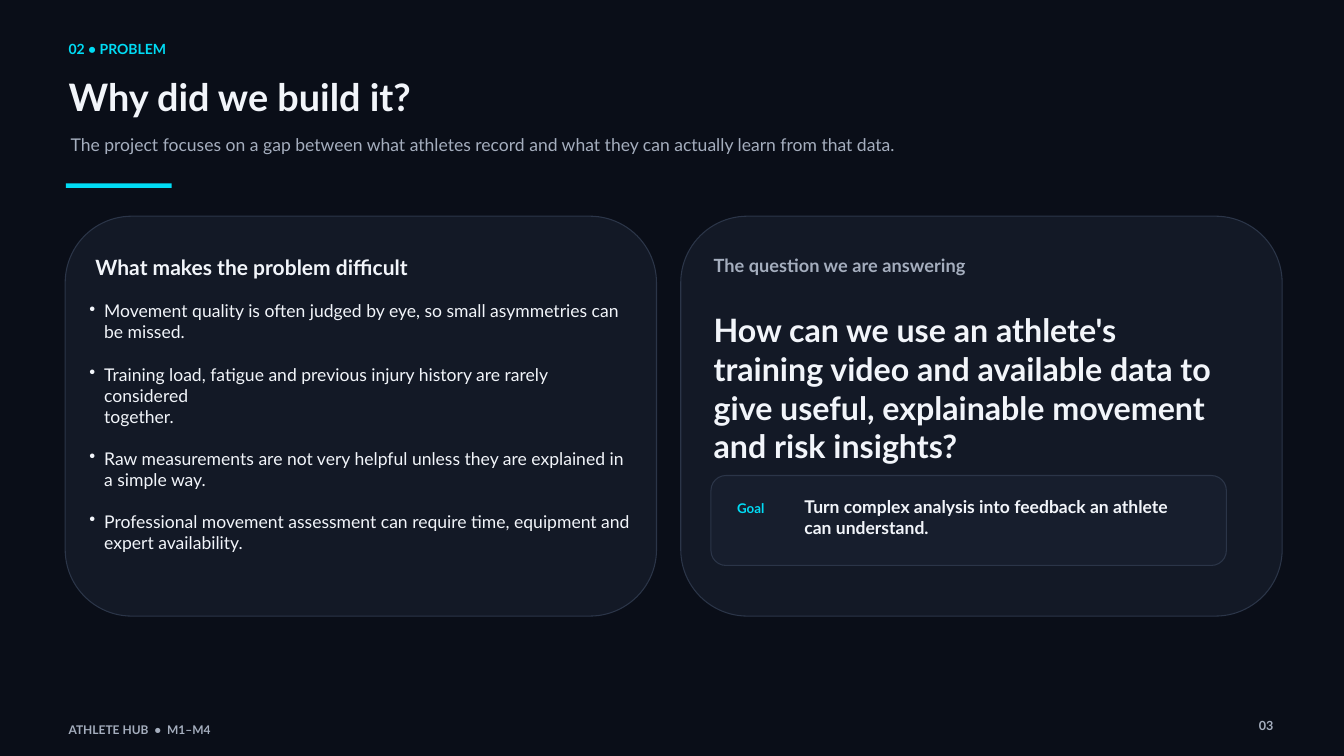
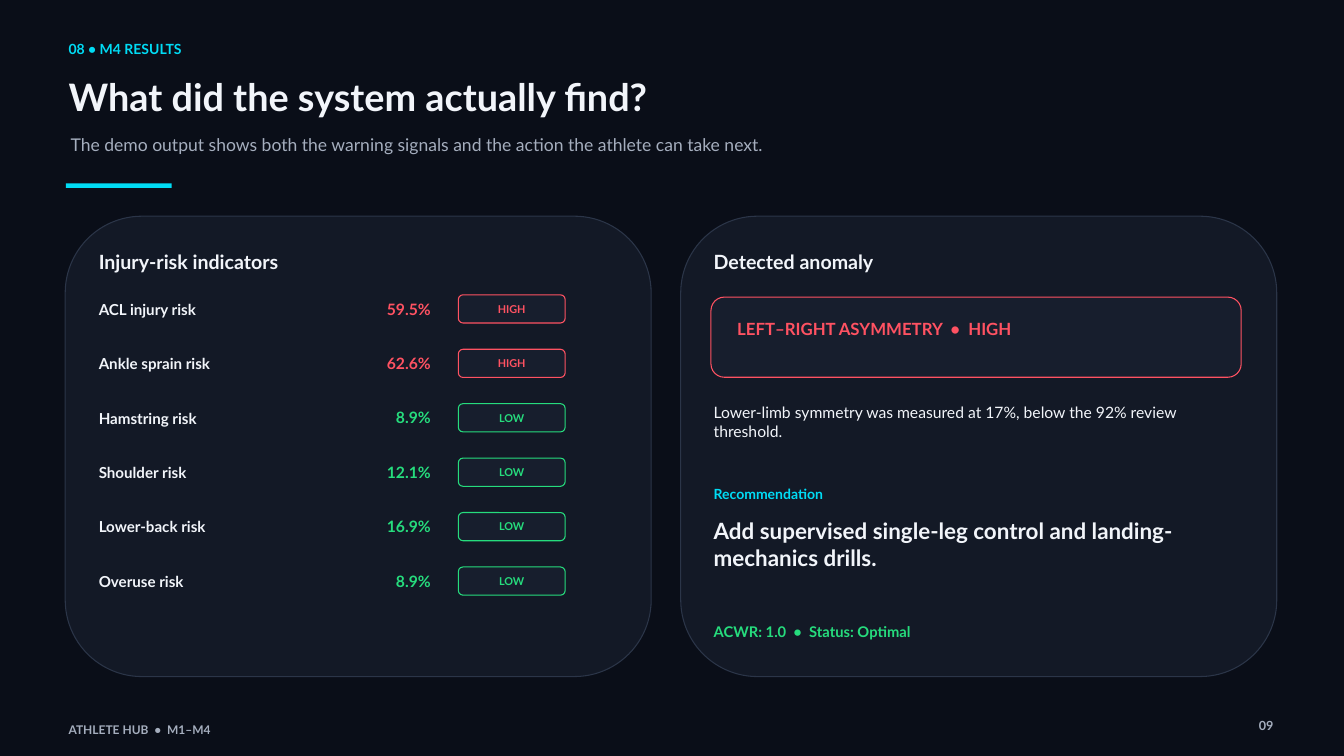
from pptx import Presentation
from pptx.dml.color import RGBColor
from pptx.enum.shapes import MSO_SHAPE as Kind
from pptx.enum.text import MSO_ANCHOR as Anchor, MSO_AUTO_SIZE as Auto, PP_ALIGN as Align
from pptx.util import Inches, Pt
from lxml import etree

tint = RGBColor.from_string
NIGHT, PANEL, INSET, EDGE = "0A0E18", "131926", "171E2D", "2B3548"
WHITE, GREY, CYAN, RED, GREEN = "F2F5FA", "A5AEBE", "00DCF5", "FF5262", "26DC7D"
FONT = "Lato"

deck = Presentation()
deck.slide_width, deck.slide_height = Inches(20), Inches(11.25)
COL, ROW = deck.slide_width / 100, deck.slide_height / 100
back = deck.slide_master.background.fill
back.solid()
back.fore_color.rgb = tint(NIGHT)


def put(slide, x, y, wide, high, fill=None, edge=None):
    spot = int(x * COL), int(y * ROW), int(wide * COL), int(high * ROW)
    if not fill:
        return slide.shapes.add_textbox(*spot)
    shape = slide.shapes.add_shape(Kind.ROUNDED_RECTANGLE if edge else Kind.RECTANGLE, *spot)
    shape.shadow.inherit = False
    shape.fill.solid()
    shape.fill.fore_color.rgb = tint(fill)
    if edge:
        shape.line.color.rgb = tint(edge)
        shape.line.width = Pt(1.13)
    else:
        shape.line.fill.background()
    return shape


def write(shape, text, size, hue=WHITE, bold=True, align=Align.LEFT, anchor=Anchor.TOP):
    frame = shape.text_frame
    frame.text = text
    frame.word_wrap = True
    frame.auto_size = Auto.NONE
    frame.vertical_anchor = anchor
    frame.margin_left = frame.margin_right = frame.margin_top = frame.margin_bottom = 0
    for para in frame.paragraphs:
        para.alignment = align
        para.line_spacing = Pt(round(size * 1.2, 1))
        para.font.name = FONT
        para.font.size = Pt(size)
        para.font.bold = bold
        para.font.color.rgb = tint(hue)
    return frame


heads = [
    ("02 • PROBLEM", "Why did we build it?",
     "The project focuses on a gap between what athletes record and what they can actually learn from that data.",
     "03", 44, 44.75, 52.9),
    ("08 • M4 RESULTS", "What did the system actually find?",
     "The demo output shows both the warning signals and the action the athlete can take next.",
     "09", 43.6, 44.35, 60.9),
]
for tag, name, note, page, left, right, high in heads:
    slide = deck.slides.add_slide(deck.slide_layouts[5])
    title = slide.shapes.title
    title.left, title.top = int(5.1 * COL), int(9.78 * ROW)
    title.width, title.height = int(89.65 * COL), int(6.93 * ROW)
    write(title, name, 40.5)
    write(put(slide, 5.1, 5.42, 22.1, 3), tag, 15, CYAN)
    write(put(slide, 5.25, 17.69, 87.4, 4.9), note, 18.8, GREY, False)
    put(slide, 4.9, 24.27, 7.88, 0.6, CYAN)
    put(slide, 4.85, 28.6, left, high, PANEL, EDGE)
    put(slide, 50.65, 28.6, right, high, PANEL, EDGE)
    write(put(slide, 5.1, 95.55, 22.1, 1.8), "ATHLETE HUB  •  M1–M4", 12.8, GREY)
    write(put(slide, 91.75, 95, 3, 2.3), page, 13.5, GREY, align=Align.RIGHT)

why, found = deck.slides

write(put(why, 7.1, 33.69, 40.2, 3.3), "What makes the problem difficult", 22.5)
points = [
    "Movement quality is often judged by eye, so small asymmetries can be missed.",
    "Training load, fatigue and previous injury history are rarely considered\vtogether.",
    "Raw measurements are not very helpful unless they are explained in a simple way.",
    "Professional movement assessment can require time, equipment and expert availability.",
]
frame = put(why, 6.65, 39.73, 40.4, 30.6)
dent = Inches(0.22)
for num, para in enumerate(write(frame, "\n".join(points), 18.8, bold=False).paragraphs):
    if num:
        para.space_before = Pt(22.5)
    props = para._p.get_or_add_pPr()
    props.set("marL", str(dent))
    props.set("indent", str(-dent))
    mark = etree.Element("{http://schemas.openxmlformats.org/drawingml/2006/main}buChar", char="•")
    props.insert_element_before(mark, "a:tabLst", "a:defRPr", "a:extLst")

write(put(why, 53.1, 33.69, 39.4, 3.3), "The question we are answering", 19.5, GREY)
write(put(why, 53.1, 41.07, 38.25, 16),
      "How can we use an athlete's training video and available data to give useful, "
      "explainable movement and risk insights?", 34.5)
put(why, 52.9, 62.9, 38.35, 11.9, INSET, EDGE)
write(put(why, 54.85, 66.13, 4.5, 2.2), "Goal", 14.3, CYAN)
write(put(why, 59.85, 65.6, 28.5, 3.6),
      "Turn complex analysis into feedback an athlete can understand.", 18.8)

write(put(found, 7.35, 33, 35.65, 3.4), "Injury-risk indicators", 21)
risks = [
    ("ACL injury risk", "59.5%", "HIGH"),
    ("Ankle sprain risk", "62.6%", "HIGH"),
    ("Hamstring risk", "8.9%", "LOW"),
    ("Shoulder risk", "12.1%", "LOW"),
    ("Lower-back risk", "16.9%", "LOW"),
    ("Overuse risk", "8.9%", "LOW"),
]
for num, (name, share, level) in enumerate(risks):
    top = 39 + 7.2 * num
    hue = RED if level == "HIGH" else GREEN
    write(put(found, 7.35, top + 0.7, 18, 2.2), name, 16.2)
    write(put(found, 27.05, top + 0.6, 5, 2.3), share, 16.8, hue, align=Align.RIGHT)
    pill = put(found, 34.1, top, 7.95, 3.73, INSET, hue)
    write(pill, level, 11.6, hue, align=Align.CENTER, anchor=Anchor.MIDDLE)

write(put(found, 53.1, 33, 36.4, 3.4), "Detected anomaly", 21)
put(found, 52.9, 39.3, 39.45, 10.6, INSET, RED)
write(put(found, 54.85, 42.2, 35.65, 2.7), "LEFT–RIGHT ASYMMETRY  •  HIGH", 18, RED)
write(put(found, 53.1, 53.33, 38.25, 6.8),
      "Lower-limb symmetry was measured at 17%, below the 92% review threshold.", 16.8, bold=False)
write(put(found, 53.1, 64.2, 14.6, 2.5), "Recommendation", 15, CYAN)
write(put(found, 53.1, 68.44, 37.5, 8),
      "Add supervised single-leg control and landing-mechanics drills.", 24)
write(put(found, 53.1, 82.4, 35.65, 2.7), "ACWR: 1.0  •  Status: Optimal", 15.8, GREEN)

deck.save("out.pptx")
